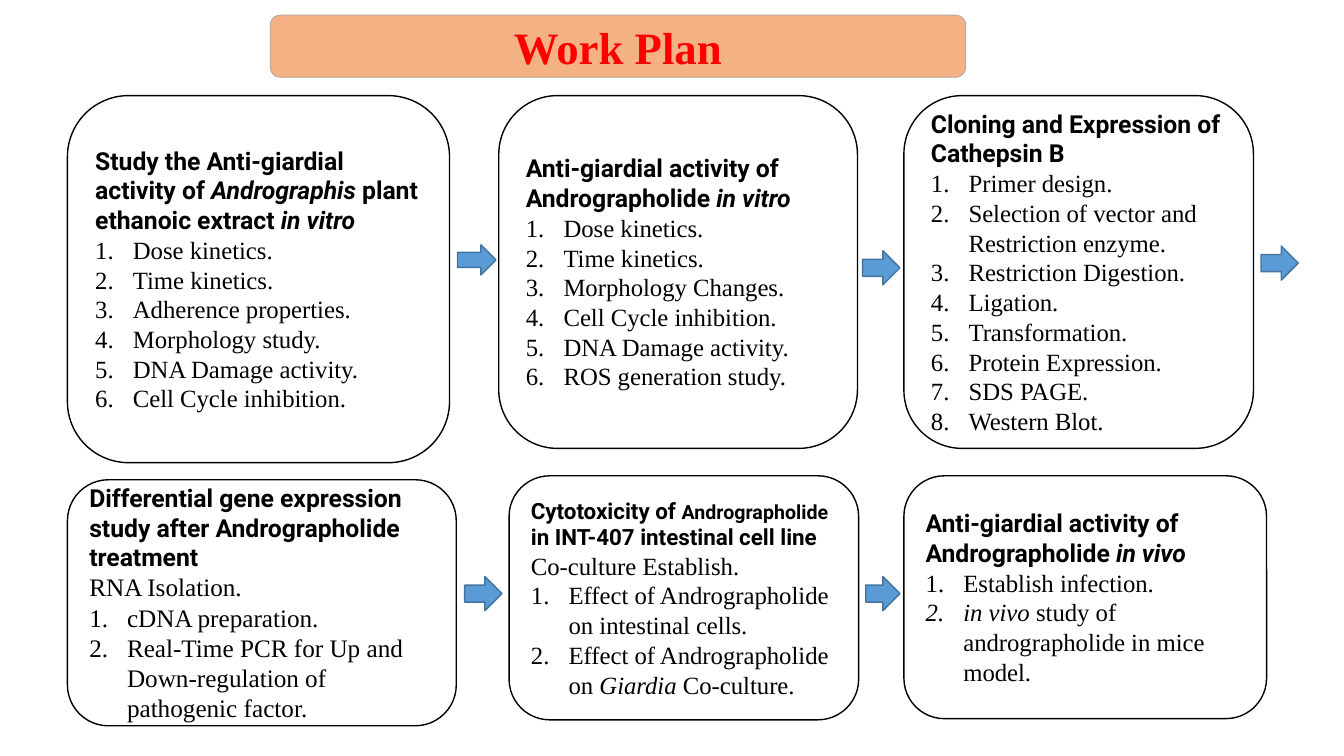
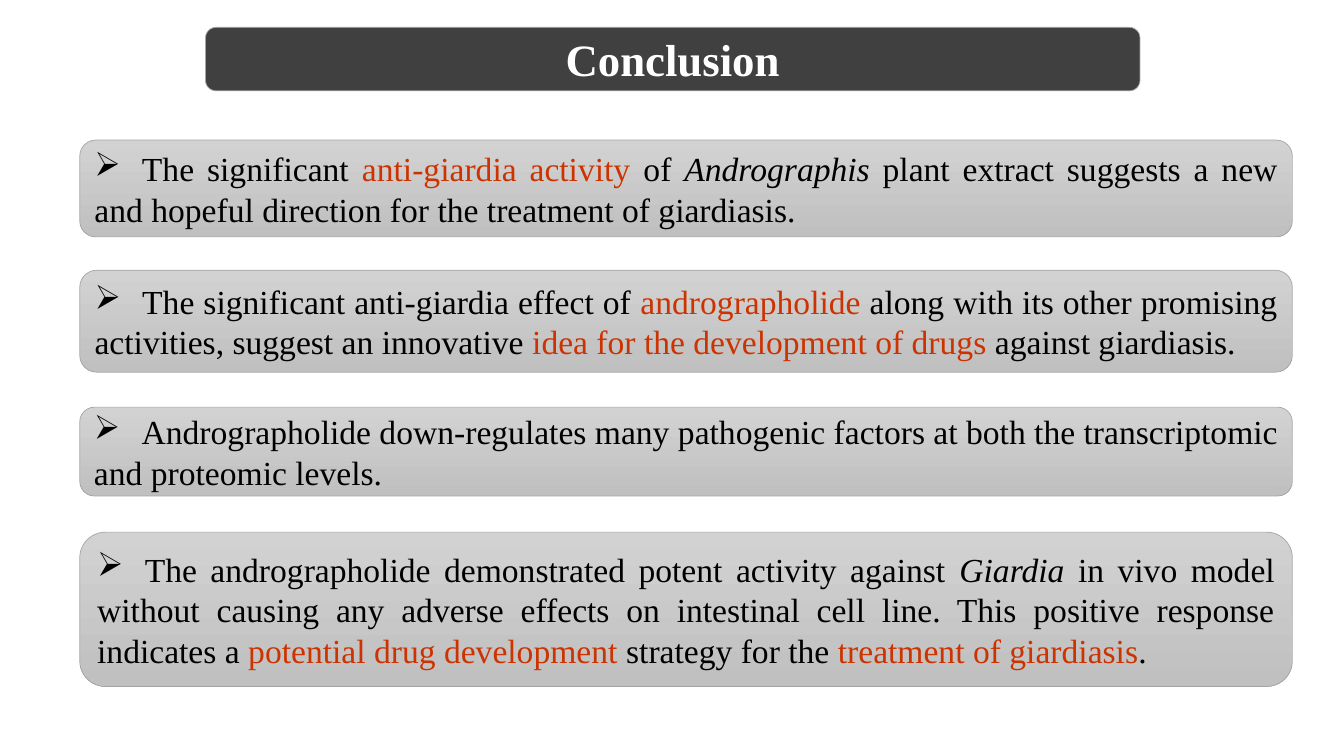
"""Build the work plan and conclusion slides."""
from dataclasses import dataclass
from typing import NamedTuple, Sequence

from lxml.etree import SubElement
from pptx import Presentation
from pptx.dml.color import RGBColor
from pptx.enum.shapes import MSO_SHAPE as Preset
from pptx.enum.text import MSO_ANCHOR as Anchor, PP_ALIGN as Align
from pptx.oxml.ns import qn
from pptx.util import Cm, Pt

COLOURS = {
    "black": "000000",
    "white": "FFFFFF",
    "red": "FF0000",
    "accent": "CC3300",
    "peach": "F4B183",
    "charcoal": "404040",
    "grey_line": "A5A5A5",
    "grey_top": "D2D2D2",
    "grey_bottom": "C0C0C0",
    "arrow": "5B9BD5",
    "arrow_line": "43739E",
}
HEADING_FONT = "Roboto"
BODY_FONT = "Times New Roman"
CARD_SIZE = 17.7
POINT_LEFT, POINT_WIDTH = 2.01, 30.56


class Box(NamedTuple):
    left: float
    top: float
    width: float
    height: float


class Run(NamedTuple):
    text: str
    italic: bool = False
    colour: str = ""
    size: float = 0


class Style(NamedTuple):
    size: float
    font: str = BODY_FONT
    bold: bool = False
    colour: str = "black"
    align: Align = Align.LEFT


Text = str | Sequence[Run]


@dataclass
class Card:
    box: Box
    heading: Text
    steps: Sequence[Text]
    intro: str = ""
    heading_size: float = CARD_SIZE
    body_size: float = CARD_SIZE


@dataclass
class Point:
    top: float
    height: float
    runs: Sequence[Run]


CARDS = [
    Card(
        Box(1.7, 2.41, 9.63, 9.25),
        [
            Run("Study the Anti-giardial activity of "),
            Run("Andrographis", italic=True),
            Run(" plant ethanoic extract "),
            Run("in vitro", italic=True),
        ],
        ["Dose kinetics.", "Time kinetics.", "Adherence properties.",
         "Morphology study.", "DNA Damage activity.", "Cell Cycle inhibition."],
    ),
    Card(
        Box(12.57, 2.41, 9.04, 8.89),
        [Run("Anti-giardial activity of Andrographolide "), Run("in vitro", italic=True)],
        ["Dose kinetics.", "Time kinetics.", "Morphology Changes.",
         "Cell Cycle inhibition.", "DNA Damage activity.", "ROS generation study."],
    ),
    Card(
        Box(22.78, 2.41, 8.81, 8.89),
        "Cloning and Expression of Cathepsin B",
        ["Primer design.", "Selection of vector and Restriction enzyme.",
         "Restriction Digestion.", "Ligation.", "Transformation.",
         "Protein Expression.", "SDS PAGE.", "Western Blot."],
    ),
    Card(
        Box(1.7, 12.09, 9.8, 6.2),
        "Differential gene expression study after Andrographolide treatment",
        ["cDNA preparation.",
         "Real-Time PCR for Up and Down-regulation of pathogenic factor."],
        intro="RNA Isolation.",
        body_size=18,
    ),
    Card(
        Box(12.83, 11.99, 8.81, 6.15),
        [
            Run("Cytotoxicity of "),
            Run("Andrographolide", size=14),
            Run(" in INT-407 intestinal cell line"),
        ],
        [
            "Effect of Andrographolide on intestinal cells.",
            [
                Run("Effect of Andrographolide on "),
                Run("Giardia ", italic=True),
                Run("Co-culture."),
            ],
        ],
        intro="Co-culture Establish.",
        heading_size=16,
    ),
    Card(
        Box(22.78, 11.99, 9.14, 6.12),
        [Run("Anti-giardial activity of Andrographolide "), Run("in vivo", italic=True)],
        [
            "Establish infection.",
            [Run("in vivo ", italic=True), Run("study of andrographolide in mice model.")],
        ],
    ),
]

ARROWS = [
    Box(11.53, 6.17, 0.97, 0.76),
    Box(21.74, 6.32, 0.94, 0.86),
    Box(31.78, 6.2, 0.94, 0.86),
    Box(11.71, 14.53, 0.94, 0.86),
    Box(21.82, 14.53, 0.86, 0.86),
]

POINTS = [
    Point(3.53, 2.44, [
        Run("The significant "),
        Run("anti-giardia activity ", colour="accent"),
        Run("of "),
        Run("Andrographis", italic=True),
        Run(" plant extract suggests a new and hopeful direction for the "
            "treatment of giardiasis."),
    ]),
    Point(6.81, 2.57, [
        Run("The significant anti-giardia effect of "),
        Run("andrographolide", colour="accent"),
        Run(" along with its other promising activities, suggest an innovative "),
        Run("idea for the development of drugs ", colour="accent"),
        Run("against giardiasis."),
    ]),
    Point(10.26, 2.24, [
        Run("Andrographolide down-regulates many pathogenic factors at both the "
            "transcriptomic and proteomic levels."),
    ]),
    Point(13.41, 3.89, [
        Run("The andrographolide demonstrated potent activity against "),
        Run("Giardia", italic=True),
        Run(" in vivo model without causing any adverse effects on intestinal cell "
            "line. This positive response indicates a "),
        Run("potential drug development ", colour="accent"),
        Run("strategy for the "),
        Run("treatment of giardiasis", colour="accent"),
        Run("."),
    ]),
]


def rgb(name: str) -> RGBColor:
    """Look up a named colour."""
    return RGBColor.from_string(COLOURS[name])


def add_shape(slide, preset: Preset, box: Box, fill: str, line: str, line_width: float):
    """Add a filled, outlined preset shape without a shadow."""
    shape = slide.shapes.add_shape(preset, *map(Cm, box))
    shape.shadow.inherit = False
    shape.fill.solid()
    shape.fill.fore_color.rgb = rgb(fill)
    shape.line.color.rgb = rgb(line)
    shape.line.width = Pt(line_width)
    shape.text_frame.word_wrap = True
    shape.text_frame.vertical_anchor = Anchor.MIDDLE
    return shape


def write(paragraph, text: Text, style: Style) -> None:
    """Fill a paragraph with runs in one shared style."""
    paragraph.alignment = style.align
    font = paragraph.font
    font.name, font.size, font.bold = style.font, Pt(style.size), style.bold
    font.color.rgb = rgb(style.colour)
    for part in [Run(text)] if isinstance(text, str) else text:
        run = paragraph.add_run()
        run.text = part.text
        if part.italic:
            run.font.italic = True
        if part.colour:
            run.font.color.rgb = rgb(part.colour)
        if part.size:
            run.font.size = Pt(part.size)


def add_number(paragraph) -> None:
    """Number a paragraph with a hanging indent."""
    properties = paragraph._p.get_or_add_pPr()
    properties.set("marL", str(Cm(0.95)))
    properties.set("indent", str(-Cm(0.95)))
    SubElement(properties, qn("a:buAutoNum"), type="arabicPeriod")


def add_arrow_bullet(paragraph) -> None:
    """Give a paragraph an arrow bullet and a tab stop after it."""
    properties = paragraph._p.get_or_add_pPr()
    properties.set("marL", "0")
    properties.set("indent", "0")
    SubElement(properties, qn("a:buChar"), char="➢")
    tabs = SubElement(properties, qn("a:tabLst"))
    SubElement(tabs, qn("a:tab"), pos=str(Cm(1.2)), algn="l")


def add_title(slide, box: Box, text: str, fill: str, colour: str) -> None:
    """Add the rounded title band."""
    shape = add_shape(slide, Preset.ROUNDED_RECTANGLE, box, fill, "grey_line", 0.5)
    style = Style(32, bold=True, colour=colour, align=Align.CENTER)
    write(shape.text_frame.paragraphs[0], text, style)


def add_card(slide, card: Card) -> None:
    """Add a work plan card with its heading and numbered steps."""
    shape = add_shape(slide, Preset.ROUNDED_RECTANGLE, card.box, "white", "black", 1)
    frame = shape.text_frame
    heading_style = Style(card.heading_size, HEADING_FONT, bold=True)
    body_style = Style(card.body_size)
    write(frame.paragraphs[0], card.heading, heading_style)
    if card.intro:
        write(frame.add_paragraph(), card.intro, body_style)
    for step in card.steps:
        paragraph = frame.add_paragraph()
        add_number(paragraph)
        write(paragraph, step, body_style)


def add_point(slide, point: Point) -> None:
    """Add a conclusion panel with a grey gradient."""
    box = Box(POINT_LEFT, point.top, POINT_WIDTH, point.height)
    shape = add_shape(slide, Preset.ROUNDED_RECTANGLE, box, "grey_top", "grey_line", 0.5)
    shape.fill.gradient()
    shape.fill.gradient_angle = 270
    for stop, colour in zip(shape.fill.gradient_stops, ("grey_top", "grey_bottom")):
        stop.color.rgb = rgb(colour)
    paragraph = shape.text_frame.paragraphs[0]
    add_arrow_bullet(paragraph)
    first, *rest = point.runs
    runs = [first._replace(text="\t" + first.text), *rest]
    write(paragraph, runs, Style(24, align=Align.JUSTIFY))


def main() -> None:
    """Build and save the presentation."""
    presentation = Presentation()
    presentation.slide_width, presentation.slide_height = Cm(33.87), Cm(19.05)
    blank = presentation.slide_layouts[6]

    plan = presentation.slides.add_slide(blank)
    add_title(plan, Box(6.81, 0.38, 17.53, 1.57), "Work Plan", "peach", "red")
    for card in CARDS:
        add_card(plan, card)
    for box in ARROWS:
        add_shape(plan, Preset.RIGHT_ARROW, box, "arrow", "arrow_line", 1)

    conclusion = presentation.slides.add_slide(blank)
    add_title(conclusion, Box(5.18, 0.69, 23.55, 1.6), "Conclusion", "charcoal", "white")
    for point in POINTS:
        add_point(conclusion, point)

    presentation.save("out.pptx")


if __name__ == "__main__":
    main()
